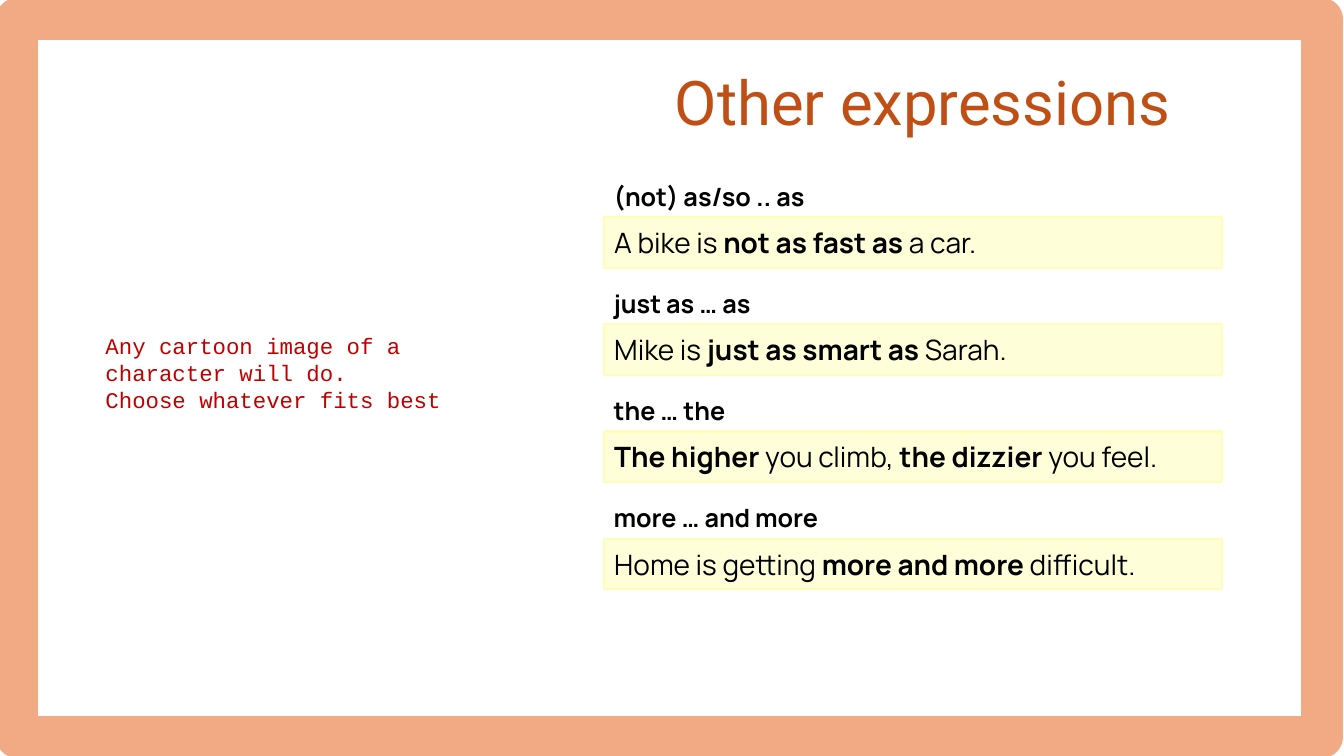
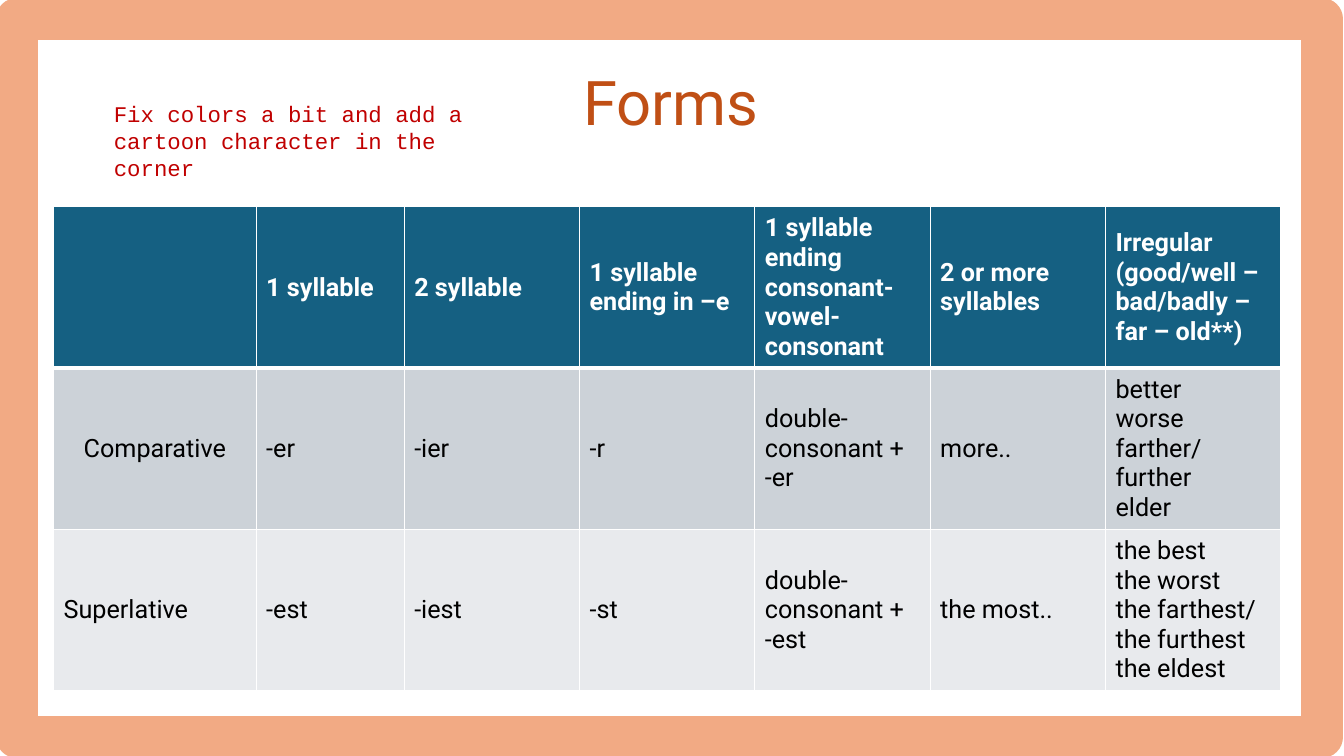
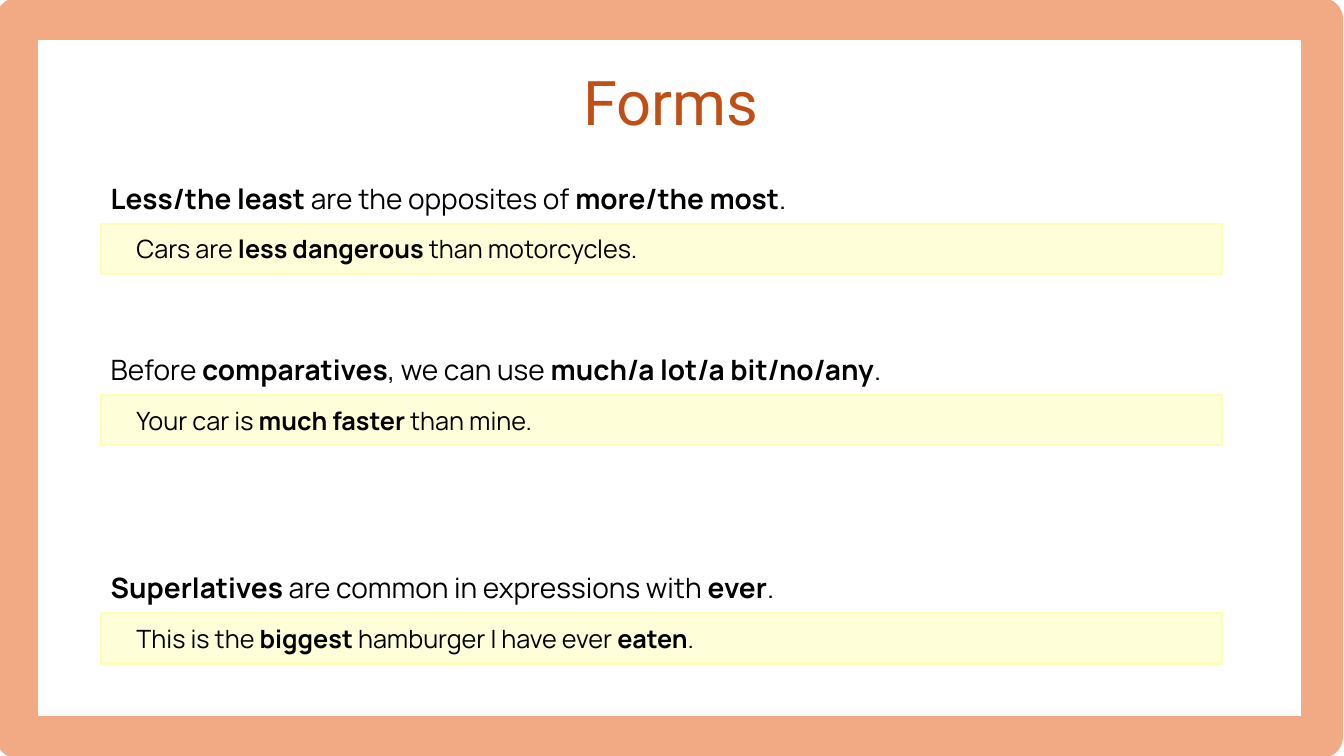
from dataclasses import dataclass
from typing import Any

from lxml.etree import SubElement
from pptx import Presentation
from pptx.dml.color import RGBColor
from pptx.enum.shapes import MSO_SHAPE
from pptx.enum.text import MSO_ANCHOR, PP_ALIGN
from pptx.oxml.ns import qn
from pptx.slide import Slide
from pptx.table import _Cell
from pptx.text.text import TextFrame
from pptx.util import Emu, Pt

EMU_PER_PX = 9525
PAGE_WIDTH, PAGE_HEIGHT = 1280, 720

PEACH = RGBColor(0xF2, 0xAA, 0x84)
RUST = RGBColor(0xC0, 0x4F, 0x15)
CREAM = RGBColor(0xFE, 0xFF, 0xD9)
LEMON = RGBColor(0xFD, 0xFF, 0xB9)
RED = RGBColor(0xC0, 0x00, 0x00)
BLACK = RGBColor(0x00, 0x00, 0x00)
WHITE = RGBColor(0xFF, 0xFF, 0xFF)
TEAL = RGBColor(0x15, 0x60, 0x82)
GREY = RGBColor(0xCC, 0xD2, 0xD8)
PALE_GREY = RGBColor(0xE8, 0xEA, 0xED)


@dataclass(frozen=True)
class TextStyle:
    font: dict[str, Any]
    color: RGBColor = BLACK
    align: PP_ALIGN = PP_ALIGN.LEFT


@dataclass(frozen=True)
class Box:
    left: int
    top: int
    width: int
    height: int

    def emu(self) -> tuple[Emu, ...]:
        return tuple(map(px, (self.left, self.top, self.width, self.height)))


@dataclass(frozen=True)
class Example:
    """A caption over a sentence in a band; text between bars is bold."""
    band_top: int
    caption: str
    sentence: str


@dataclass(frozen=True)
class ExampleLayout:
    left: int
    width: int
    caption_rise: int
    caption_height: int
    caption_style: TextStyle
    sentence_style: TextStyle
    indent: int = 0


@dataclass(frozen=True)
class TableRow:
    cells: tuple[str, ...]
    fill: RGBColor
    style: TextStyle
    top_border: int = 1
    bottom_border: int = 1
    label_align: PP_ALIGN = PP_ALIGN.LEFT


TITLE = TextStyle({"name": "Roboto", "size": Pt(44)}, RUST, PP_ALIGN.CENTER)
NOTE = TextStyle({"name": "Courier New", "size": Pt(16)}, RED)
LARGE = TextStyle({"name": "Manrope", "size": Pt(20)})
SMALL = TextStyle({"name": "Manrope", "size": Pt(18)})
TABLE_BODY = TextStyle({"name": "Roboto", "size": Pt(18)})
TABLE_HEAD = TextStyle({"name": "Roboto", "size": Pt(18)}, WHITE)

FRAME = Box(16, 18, 1243, 684)
TITLE_TOP, TITLE_WIDTH, TITLE_HEIGHT = 56, 570, 81
BAND_HEIGHT = 48
TEXT_INSET = 10

EXPRESSION_LAYOUT = ExampleLayout(575, 589, 39, 38, SMALL, LARGE)
RULE_LAYOUT = ExampleLayout(96, 1068, 45, 42, LARGE, SMALL, indent=24)

EXPRESSION_TOP, EXPRESSION_STEP = 207, 102
EXPRESSIONS = (
    ("|(not) as/so .. as|", "A bike is |not as fast as| a car."),
    ("|just as … as|", "Mike is |just as smart as| Sarah."),
    ("|the … the|", "|The higher| you climb, |the dizzier| you feel."),
    ("|more … and more|", "Home is getting |more and more |difficult."),
)
RULES = (
    Example(213, "|Less/the least| are the opposites of |more/the most|.",
            "Cars are |less dangerous| than motorcycles."),
    Example(376, "Before |comparatives|, we can use |much/a lot/a bit/no/any|.",
            "Your car is |much faster| than mine."),
    Example(584, "|Superlatives| are common in expressions with |ever|.",
            "This is the |biggest| hamburger I have ever |eaten|."),
)

TABLE_LEFT, TABLE_TOP, ROW_HEIGHT = 51, 197, 153
COLUMN_WIDTHS = (193, 141) + (167,) * 5
FORM_ROWS = (
    TableRow(("", "|1 syllable|", "|2 syllable|", "|1 syllable\nending in –e|",
              "|1 syllable \nending consonant-vowel-consonant|",
              "|2 or more syllables|",
              "|Irregular (good/well – bad/badly – far – old**)|"),
             TEAL, TABLE_HEAD, bottom_border=3),
    TableRow(("Comparative", "-er", "-ier", "-r", "double-consonant + -er",
              "more..", "better\nworse\nfarther/further\nelder"),
             GREY, TABLE_BODY, top_border=3, label_align=PP_ALIGN.CENTER),
    TableRow(("Superlative", "-est", "-iest", "-st", "double-consonant + -est",
              "the most..",
              "the best\nthe worst\nthe farthest/ the furthest\nthe eldest"),
             PALE_GREY, TABLE_BODY),
)


def px(length: int) -> Emu:
    return Emu(length * EMU_PER_PX)


def write(frame: TextFrame, style: TextStyle, *paragraphs: str) -> None:
    """Write paragraphs; bars toggle bold and newlines become line breaks."""
    for index, text in enumerate(paragraphs):
        para = frame.add_paragraph() if index else frame.paragraphs[0]
        para.alignment = style.align
        for part, segment in enumerate(text.split("|")):
            for number, line in enumerate(segment.split("\n")):
                if number:
                    para.add_line_break()
                if not line:
                    continue
                span = para.add_run()
                span.text = line
                span.font.color.rgb = style.color
                for name, value in {**style.font, "bold": part % 2 == 1}.items():
                    setattr(span.font, name, value)


def add_text(page: Slide, box: Box, style: TextStyle, *paragraphs: str) -> None:
    frame = page.shapes.add_textbox(*box.emu()).text_frame
    frame.word_wrap = True
    write(frame, style, *paragraphs)


def add_page(deck: Presentation, title: str, center: int) -> Slide:
    """Add a framed page whose title is centred on the given x."""
    page = deck.slides.add_slide(deck.slide_layouts[6])
    border = page.shapes.add_shape(MSO_SHAPE.RECTANGLE, *FRAME.emu())
    border.shadow.inherit = False
    border.fill.background()
    border.line.color.rgb = PEACH
    border.line.width = Pt(30)
    title_box = Box(center - TITLE_WIDTH // 2, TITLE_TOP, TITLE_WIDTH, TITLE_HEIGHT)
    add_text(page, title_box, TITLE, title)
    return page


def add_example(page: Slide, example: Example, layout: ExampleLayout) -> None:
    band_box = Box(layout.left, example.band_top, layout.width, BAND_HEIGHT)
    band = page.shapes.add_shape(MSO_SHAPE.RECTANGLE, *band_box.emu())
    band.shadow.inherit = False
    band.fill.solid()
    band.fill.fore_color.rgb = CREAM
    band.line.color.rgb = LEMON
    band.line.width = Pt(1.5)
    band.text_frame.word_wrap = True
    band.text_frame.vertical_anchor = MSO_ANCHOR.MIDDLE
    band.text_frame.margin_left = px(TEXT_INSET + layout.indent)
    write(band.text_frame, layout.sentence_style, example.sentence)
    caption_box = Box(layout.left, example.band_top - layout.caption_rise,
                      layout.width, layout.caption_height)
    add_text(page, caption_box, layout.caption_style, example.caption)


def set_borders(cell: _Cell, top: int, bottom: int) -> None:
    properties = cell._tc.get_or_add_tcPr()
    for side, points in {"L": 1, "R": 1, "T": top, "B": bottom}.items():
        line = SubElement(properties, qn(f"a:ln{side}"), w=str(Pt(points)))
        fill = SubElement(line, qn("a:solidFill"))
        SubElement(fill, qn("a:srgbClr"), val=str(WHITE))


def add_forms_table(page: Slide) -> None:
    box = Box(TABLE_LEFT, TABLE_TOP, sum(COLUMN_WIDTHS), ROW_HEIGHT * len(FORM_ROWS))
    table = page.shapes.add_table(len(FORM_ROWS), len(COLUMN_WIDTHS), *box.emu()).table
    table.first_row = table.horz_banding = False
    for column, width in zip(table.columns, COLUMN_WIDTHS):
        column.width = px(width)
    for line, row in zip(table.rows, FORM_ROWS):
        line.height = px(ROW_HEIGHT)
        for cell, text in zip(line.cells, row.cells):
            set_borders(cell, row.top_border, row.bottom_border)
            cell.fill.solid()
            cell.fill.fore_color.rgb = row.fill
            cell.vertical_anchor = MSO_ANCHOR.MIDDLE
            write(cell.text_frame, row.style, text)
        line.cells[0].text_frame.paragraphs[0].alignment = row.label_align


def main() -> None:
    deck = Presentation()
    deck.slide_width, deck.slide_height = px(PAGE_WIDTH), px(PAGE_HEIGHT)

    expressions = add_page(deck, "Other expressions", 879)
    for index, (caption, sentence) in enumerate(EXPRESSIONS):
        top = EXPRESSION_TOP + index * EXPRESSION_STEP
        add_example(expressions, Example(top, caption, sentence), EXPRESSION_LAYOUT)
    add_text(expressions, Box(91, 312, 355, 87), NOTE,
             "Any cartoon image of a character will do.", "Choose whatever fits best")

    forms = add_page(deck, "Forms", 639)
    add_forms_table(forms)
    add_text(forms, Box(99, 91, 355, 87), NOTE,
             "Fix colors a bit and add a cartoon character in the corner")

    rules = add_page(deck, "Forms", 639)
    for rule in RULES:
        add_example(rules, rule, RULE_LAYOUT)

    deck.save("out.pptx")


if __name__ == "__main__":
    main()
